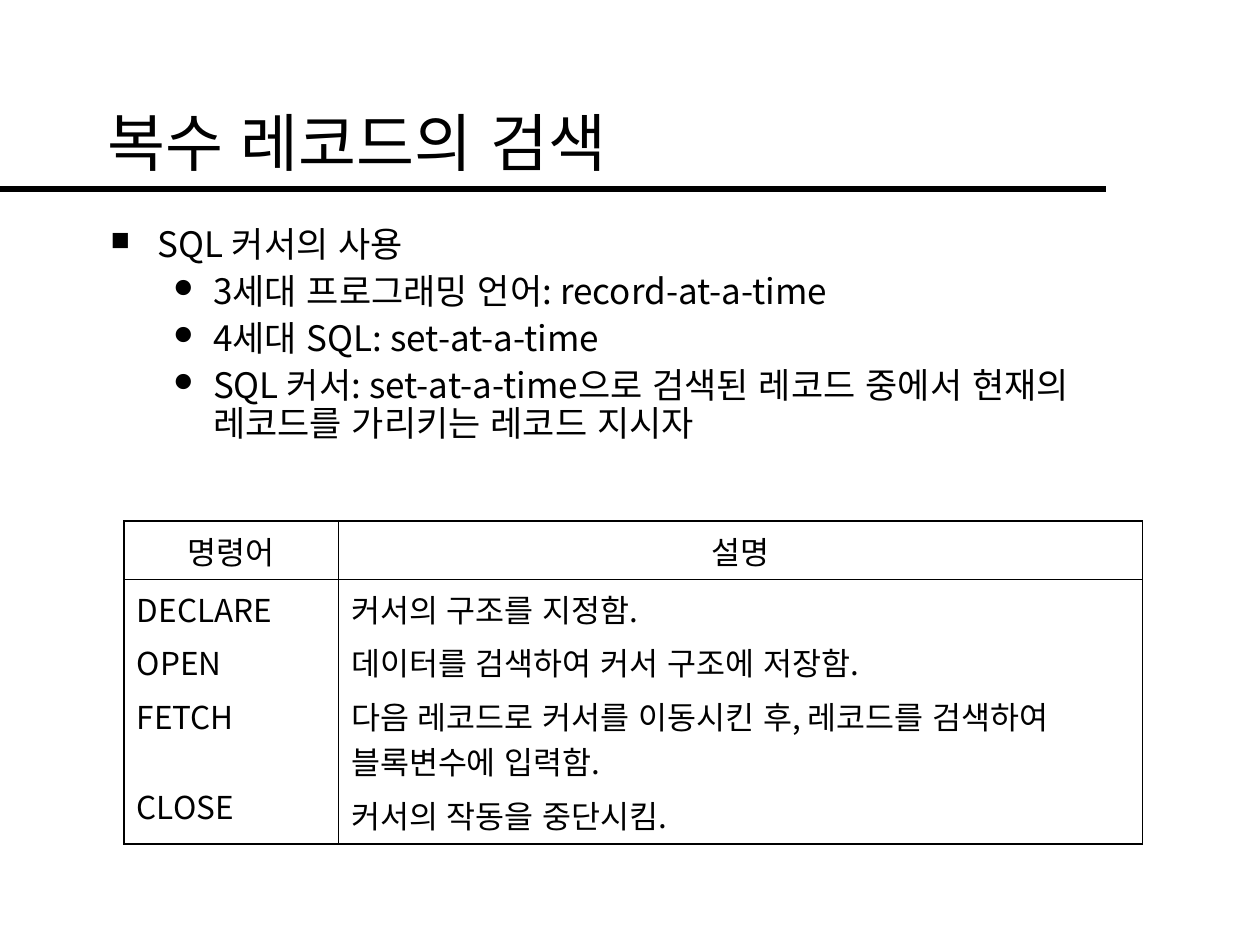
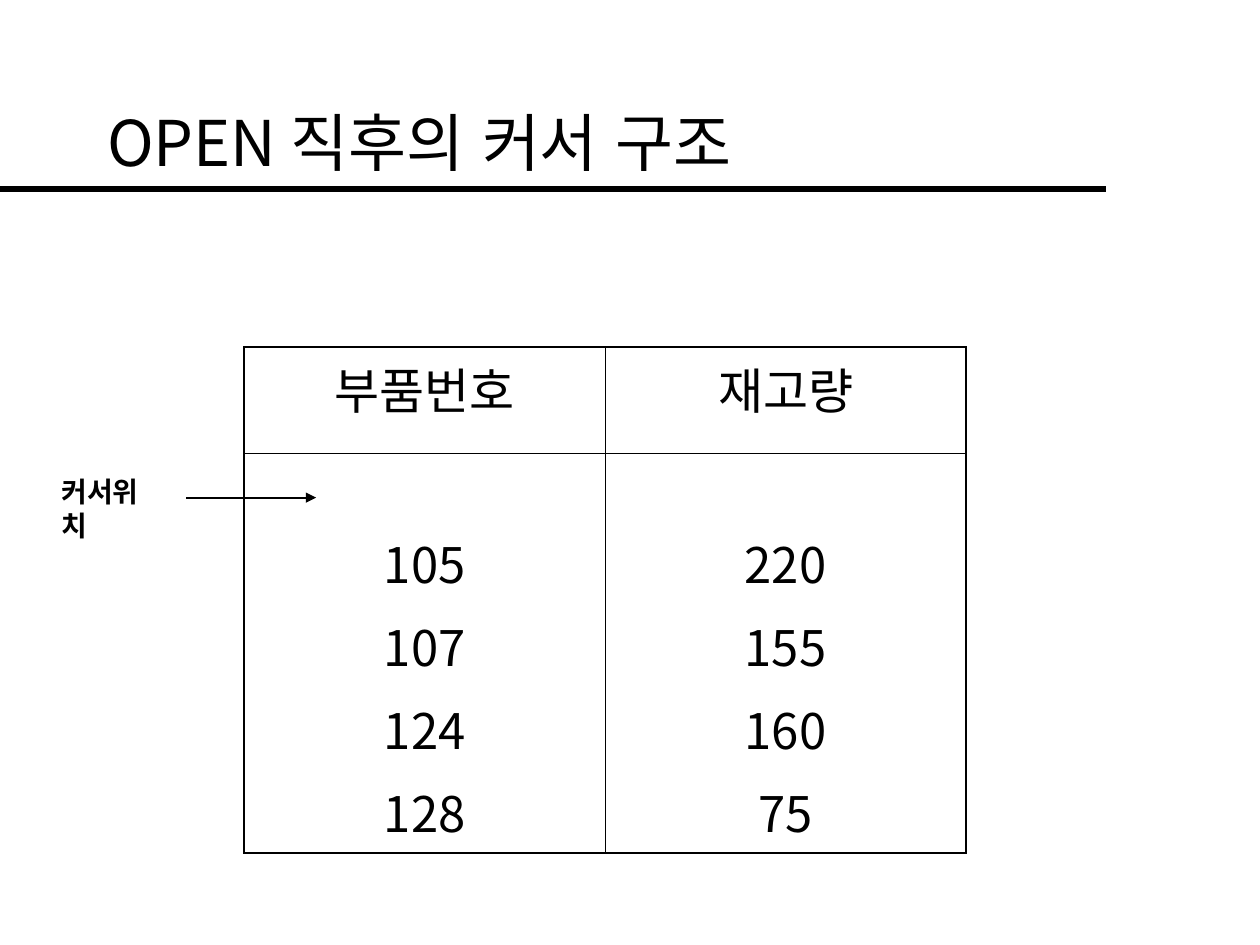
from dataclasses import dataclass

from lxml import etree
from pptx import Presentation
from pptx.dml.color import RGBColor
from pptx.enum import shapes, text
from pptx.oxml.ns import qn
from pptx.util import Pt

BLACK = RGBColor(0, 0, 0)
WHITE = RGBColor(255, 255, 255)
KOREAN_FONT = "Noto Sans CJK KR"
LABEL_FONT = "Times New Roman"
BULLET_FONT = "Wingdings"
LEFT = text.PP_ALIGN.LEFT
CENTER = text.PP_ALIGN.CENTER
SIDE_INSET, TOP_INSET = 7.2, 3.6
OUTER_BORDER, INNER_BORDER = 1.08, 0.45


@dataclass
class Bullet:
    symbol: str
    level: int
    margin: float
    hanging: float


@dataclass
class Line:
    text: str
    bullet: Bullet | None = None
    space_before: float | None = None


@dataclass
class Grid:
    left: float
    top: float
    columns: list[float]
    rows: list[float]
    header: list[str]
    body: list[list[Line]]
    size: float
    space_before: float
    body_align: text.PP_ALIGN = LEFT
    body_top_inset: float = TOP_INSET


SQUARE = Bullet("n", 0, 27, 27)
DOT = Bullet("l", 1, 58.5, 22.5)

CURSOR_USE = [
    Line("SQL 커서의 사용", SQUARE),
    Line("3세대 프로그래밍 언어: record-at-a-time", DOT),
    Line("4세대 SQL: set-at-a-time", DOT),
    Line("SQL 커서: set-at-a-time으로 검색된 레코드 중에서 현재의 레코드를 가리키는 레코드 지시자", DOT),
]

COMMANDS = Grid(
    71, 297.9, [122.4, 459.4], [33.3, 151.2],
    ["명령어", "설명"],
    [
        [Line("DECLARE"), Line("OPEN"), Line("FETCH"), Line("CLOSE", space_before=25.4)],
        [
            Line("커서의 구조를 지정함."),
            Line("데이터를 검색하여 커서 구조에 저장함."),
            Line("다음 레코드로 커서를 이동시킨 후, 레코드를 검색하여 블록변수에 입력함."),
            Line("커서의 작동을 중단시킴."),
        ],
    ],
    size=18, space_before=4.5,
)

STOCK = Grid(
    139.4, 198.2, [206.5, 206], [60.8, 228],
    ["부품번호", "재고량"],
    [
        [Line(part) for part in ("105", "107", "124", "128")],
        [Line(quantity) for quantity in ("220", "155", "160", "75")],
    ],
    size=28, space_before=7, body_align=CENTER, body_top_inset=42,
)


def add_bullet(paragraph, bullet: Bullet) -> None:
    paragraph.level = bullet.level
    properties = paragraph._p.get_or_add_pPr()
    properties.set("marL", str(Pt(bullet.margin)))
    properties.set("indent", str(-Pt(bullet.hanging)))
    color = etree.SubElement(properties, qn("a:buClr"))
    etree.SubElement(color, qn("a:srgbClr"), val=str(BLACK))
    etree.SubElement(properties, qn("a:buSzPct"), val="75000")
    etree.SubElement(properties, qn("a:buFont"), typeface=BULLET_FONT, charset="2")
    etree.SubElement(properties, qn("a:buChar"), char=bullet.symbol)


def write(frame, lines: list[Line], *, size: float, font: str = KOREAN_FONT,
          bold: bool = False, align=LEFT, space_before: float = 0,
          line_spacing: float | None = None) -> None:
    for index, line in enumerate(lines):
        paragraph = frame.add_paragraph() if index else frame.paragraphs[0]
        if line.bullet:
            add_bullet(paragraph, line.bullet)
        paragraph.alignment = align
        if index:
            gap = space_before if line.space_before is None else line.space_before
            paragraph.space_before = Pt(gap)
        if line_spacing:
            paragraph.line_spacing = line_spacing
        run = paragraph.add_run()
        run.text = line.text
        run.font.size = Pt(size)
        run.font.bold = bold
        run.font.color.rgb = BLACK
        run.font.name = font
        properties = run._r.get_or_add_rPr()
        properties.set("lang", "ko-KR")
        properties.set("kern", "0")
        etree.SubElement(properties, qn("a:ea"), typeface=KOREAN_FONT)


def set_insets(frame, top: float = TOP_INSET) -> None:
    frame.margin_left = frame.margin_right = Pt(SIDE_INSET)
    frame.margin_top, frame.margin_bottom = Pt(top), Pt(TOP_INSET)


def add_line(slide, start: float, end: float, y: float, width: float,
             arrow: bool = False) -> None:
    connector = slide.shapes.add_connector(
        shapes.MSO_CONNECTOR.STRAIGHT, Pt(start), Pt(y), Pt(end), Pt(y))
    connector.line.color.rgb = BLACK
    connector.line.width = Pt(width)
    if arrow:
        etree.SubElement(connector.line._get_or_add_ln(), qn("a:tailEnd"), type="triangle")
    etree.SubElement(connector._element.spPr, qn("a:effectLst"))


def add_text_box(slide, left: float, top: float, width: float, height: float,
                 lines: list[Line], wrap: bool = True, **text_format) -> None:
    frame = slide.shapes.add_textbox(Pt(left), Pt(top), Pt(width), Pt(height)).text_frame
    frame.word_wrap = wrap
    if not wrap:
        frame.auto_size = text.MSO_AUTO_SIZE.SHAPE_TO_FIT_TEXT
    set_insets(frame)
    write(frame, lines, **text_format)


def add_titled_slide(presentation, title: str):
    slide = presentation.slides.add_slide(presentation.slide_layouts[5])
    slide.background.fill.solid()
    slide.background.fill.fore_color.rgb = WHITE
    add_line(slide, 0, 632.2, 108, 4)
    placeholder = slide.shapes.title
    placeholder.left, placeholder.top = Pt(54), Pt(36)
    placeholder.width, placeholder.height = Pt(612), Pt(90)
    frame = placeholder.text_frame
    frame.auto_size = text.MSO_AUTO_SIZE.NONE
    frame.vertical_anchor = text.MSO_ANCHOR.MIDDLE
    set_insets(frame)
    write(frame, [Line(title)], size=36)
    return slide


def set_border(cell, side: str, width: float) -> None:
    border = etree.SubElement(cell._tc.get_or_add_tcPr(), qn(f"a:ln{side}"), w=str(Pt(width)))
    fill = etree.SubElement(border, qn("a:solidFill"))
    etree.SubElement(fill, qn("a:srgbClr"), val=str(BLACK))


def add_grid(slide, grid: Grid) -> None:
    table = slide.shapes.add_table(
        len(grid.rows), len(grid.columns), Pt(grid.left), Pt(grid.top),
        Pt(sum(grid.columns)), Pt(sum(grid.rows))).table
    table.first_row = table.horz_banding = False
    for row, height in zip(table.rows, grid.rows):
        row.height = Pt(height)
    for column, width in zip(table.columns, grid.columns):
        column.width = Pt(width)
    last_row, last_column = len(grid.rows) - 1, len(grid.columns) - 1
    contents = [[[Line(heading)] for heading in grid.header], grid.body]
    for row_index, row_contents in enumerate(contents):
        for column_index, lines in enumerate(row_contents):
            cell = table.cell(row_index, column_index)
            set_insets(cell, grid.body_top_inset if row_index else TOP_INSET)
            outer_sides = {
                "L": column_index == 0, "R": column_index == last_column,
                "T": row_index == 0, "B": row_index == last_row,
            }
            for side, is_outer in outer_sides.items():
                set_border(cell, side, OUTER_BORDER if is_outer else INNER_BORDER)
            cell.fill.background()
            write(cell.text_frame, lines, size=grid.size,
                  align=grid.body_align if row_index else CENTER,
                  space_before=grid.space_before)


def main() -> None:
    presentation = Presentation()
    presentation.slide_width, presentation.slide_height = Pt(720), Pt(540)

    retrieval = add_titled_slide(presentation, "복수 레코드의 검색")
    add_text_box(retrieval, 56.2, 126, 580.3, 151.9, CURSOR_USE,
                 size=20, space_before=5, line_spacing=0.91)
    add_grid(retrieval, COMMANDS)

    cursor = add_titled_slide(presentation, "OPEN 직후의 커서 구조")
    add_grid(cursor, STOCK)
    add_line(cursor, 106.5, 180.7, 284.4, 1, arrow=True)
    add_text_box(cursor, 28.1, 267.7, 72.7, 26.6, [Line("커서위치")], wrap=False,
                 size=16, font=LABEL_FONT, bold=True)

    presentation.save("out.pptx")


if __name__ == "__main__":
    main()
